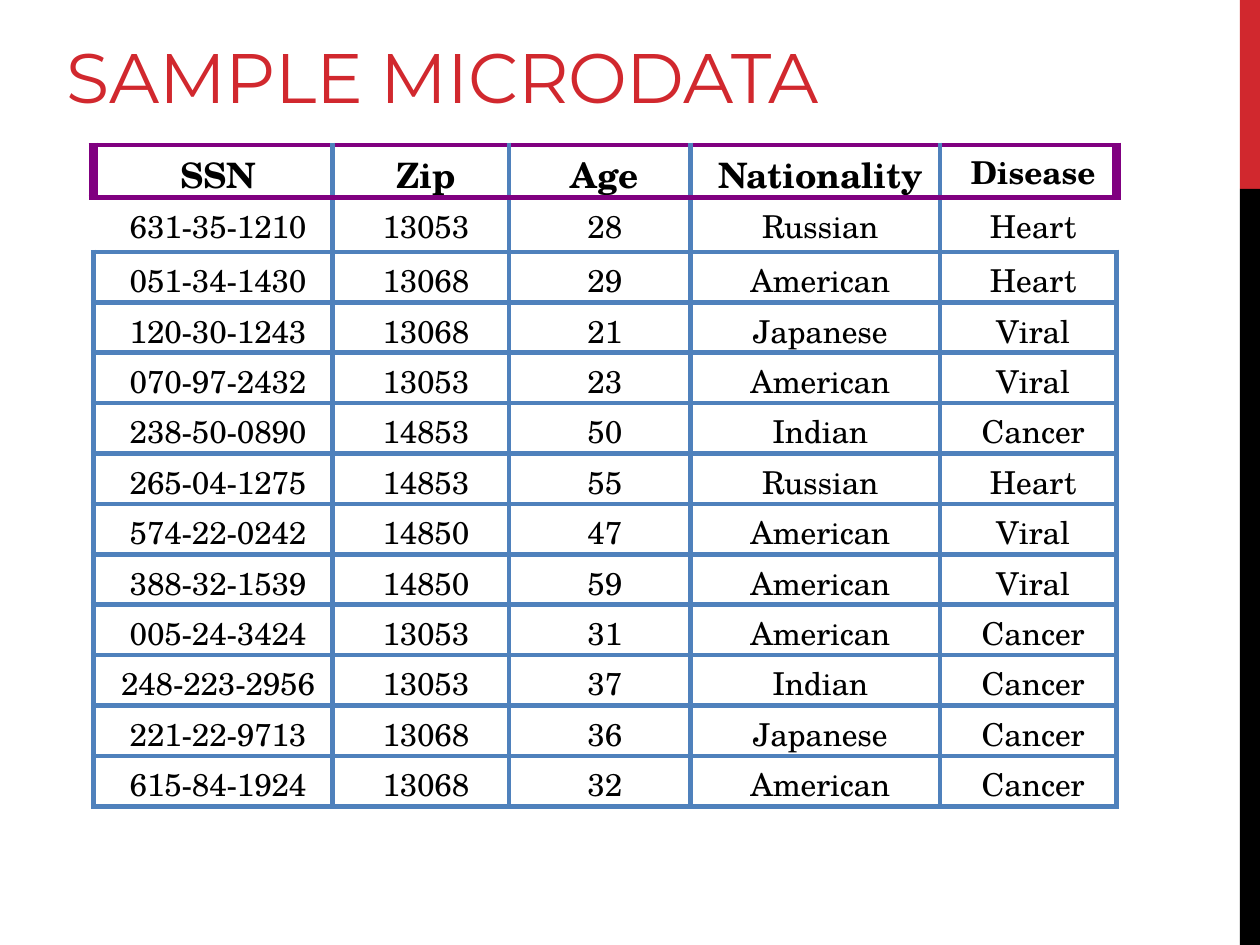
from lxml.etree import SubElement
from pptx import Presentation
from pptx.dml.color import RGBColor
from pptx.enum.shapes import MSO_SHAPE
from pptx.enum.text import MSO_ANCHOR, MSO_AUTO_SIZE, PP_ALIGN
from pptx.oxml.ns import qn
from pptx.util import Inches, Pt

RED, BLACK, BLUE, PURPLE = "D1282E", "000000", "4F81BC", "800080"
TITLE_FONT, TABLE_FONT = "Montserrat", "TeX Gyre Schola"

COLUMN_WIDTHS = [1.9, 1.4, 1.44, 1.98, 1.4]
ROW_HEIGHTS = [0.42, 0.43] + [0.4] * 11
TIGHT_COLUMNS = ("SSN", "Zip", "Nationality")
HEADER = ["SSN", "Zip", "Age", "Nationality", "Disease"]
RECORDS = [
    ["631-35-1210", "13053", "28", "Russian", "Heart"],
    ["051-34-1430", "13068", "29", "American", "Heart"],
    ["120-30-1243", "13068", "21", "Japanese", "Viral"],
    ["070-97-2432", "13053", "23", "American", "Viral"],
    ["238-50-0890", "14853", "50", "Indian", "Cancer"],
    ["265-04-1275", "14853", "55", "Russian", "Heart"],
    ["574-22-0242", "14850", "47", "American", "Viral"],
    ["388-32-1539", "14850", "59", "American", "Viral"],
    ["005-24-3424", "13053", "31", "American", "Cancer"],
    ["248-223-2956", "13053", "37", "Indian", "Cancer"],
    ["221-22-9713", "13068", "36", "Japanese", "Cancer"],
    ["615-84-1924", "13068", "32", "American", "Cancer"],
]


def color(hex_value):
    return RGBColor.from_string(hex_value)


def set_margins(target, top):
    target.margin_left = target.margin_right = target.margin_bottom = 0
    target.margin_top = Inches(top)


def format_paragraph(paragraph, font_name, size, hex_value, indent, spacing, bold=False):
    """Format a paragraph's runs; spacing is in hundredths of a point."""
    paragraph._p.get_or_add_pPr().set("marL", str(Inches(indent)))
    for run in paragraph.runs:
        run.font.name = font_name
        run.font.size = Pt(size)
        run.font.bold = bold
        run.font.color.rgb = color(hex_value)
        run._r.get_or_add_rPr().set("spc", str(spacing))


def add_side_bar(slide, width, height, top_share, height_share, hex_value):
    left = Inches(9.84)
    bar = slide.shapes.add_shape(
        MSO_SHAPE.RECTANGLE, left, int(height * top_share), width - left, int(height * height_share)
    )
    bar.shadow.inherit = False
    bar.fill.solid()
    bar.fill.fore_color.rgb = color(hex_value)
    bar.line.fill.background()


def add_title(slide, text):
    box = slide.shapes.add_textbox(Inches(0.52), Inches(0.24), Inches(6.54), Inches(0.69))
    frame = box.text_frame
    frame.word_wrap = True
    frame.auto_size = MSO_AUTO_SIZE.SHAPE_TO_FIT_TEXT
    frame.vertical_anchor = MSO_ANCHOR.BOTTOM
    set_margins(frame, 0.01)
    frame.text = text
    format_paragraph(frame.paragraphs[0], TITLE_FONT, 40, RED, 0.01, -15)


def cell_borders(row, column):
    """Return (colour, points) for each side of a cell, None for no line."""
    first, last = column == 0, column == len(HEADER) - 1
    borders = {side: (BLUE, 3) for side in "LRTB"}
    if row == 0:
        borders["T"] = borders["B"] = (PURPLE, 3)
    if row == 1:
        borders["T"] = (PURPLE, 3)
    if row < 2:
        outer = (PURPLE, 6) if row == 0 else None
        if first:
            borders["L"] = outer
        if last:
            borders["R"] = outer
    return borders


def draw_borders(cell, borders):
    properties = cell._tc.get_or_add_tcPr()
    for side, border in borders.items():
        line = SubElement(properties, qn(f"a:ln{side}"))
        if border is None:
            line.set("w", "0")
            SubElement(line, qn("a:noFill"))
            continue
        hex_value, points = border
        line.set("w", str(Pt(points)))
        fill = SubElement(line, qn("a:solidFill"))
        SubElement(fill, qn("a:srgbClr")).set("val", hex_value)


def fill_cell(cell, text, row, column):
    is_header = row == 0
    set_margins(cell, 0.02 if is_header else 0.04)
    cell.text_frame.text = text
    paragraph = cell.text_frame.paragraphs[0]
    paragraph.alignment = PP_ALIGN.CENTER
    size = 20 if is_header and text != "Disease" else 18
    spacing = -10 if size == 20 or HEADER[column] in TIGHT_COLUMNS else 0
    format_paragraph(paragraph, TABLE_FONT, size, BLACK, 0.08, spacing, is_header)
    draw_borders(cell, cell_borders(row, column))
    cell.fill.background()


def add_microdata_table(slide):
    rows = [HEADER] + RECORDS
    table = slide.shapes.add_table(
        len(rows), len(HEADER), Inches(0.74), Inches(1.15),
        Inches(sum(COLUMN_WIDTHS)), Inches(sum(ROW_HEIGHTS)),
    ).table
    table.first_row = table.horz_banding = False
    for column, width in zip(table.columns, COLUMN_WIDTHS):
        column.width = Inches(width)
    for row, height in zip(table.rows, ROW_HEIGHTS):
        row.height = Inches(height)
    for row, values in enumerate(rows):
        for column, text in enumerate(values):
            fill_cell(table.cell(row, column), text, row, column)


def main():
    presentation = Presentation()
    presentation.slide_width, presentation.slide_height = Inches(10), Inches(7.5)
    width, height = presentation.slide_width, presentation.slide_height
    slide = presentation.slides.add_slide(presentation.slide_layouts[6])

    # Side bar: red top fifth, black below
    add_side_bar(slide, width, height, 0, 0.2, RED)
    add_side_bar(slide, width, height, 0.2, 0.8, BLACK)

    # Title and records
    add_title(slide, "SAMPLE MICRODATA")
    add_microdata_table(slide)

    presentation.save("out.pptx")


if __name__ == "__main__":
    main()
